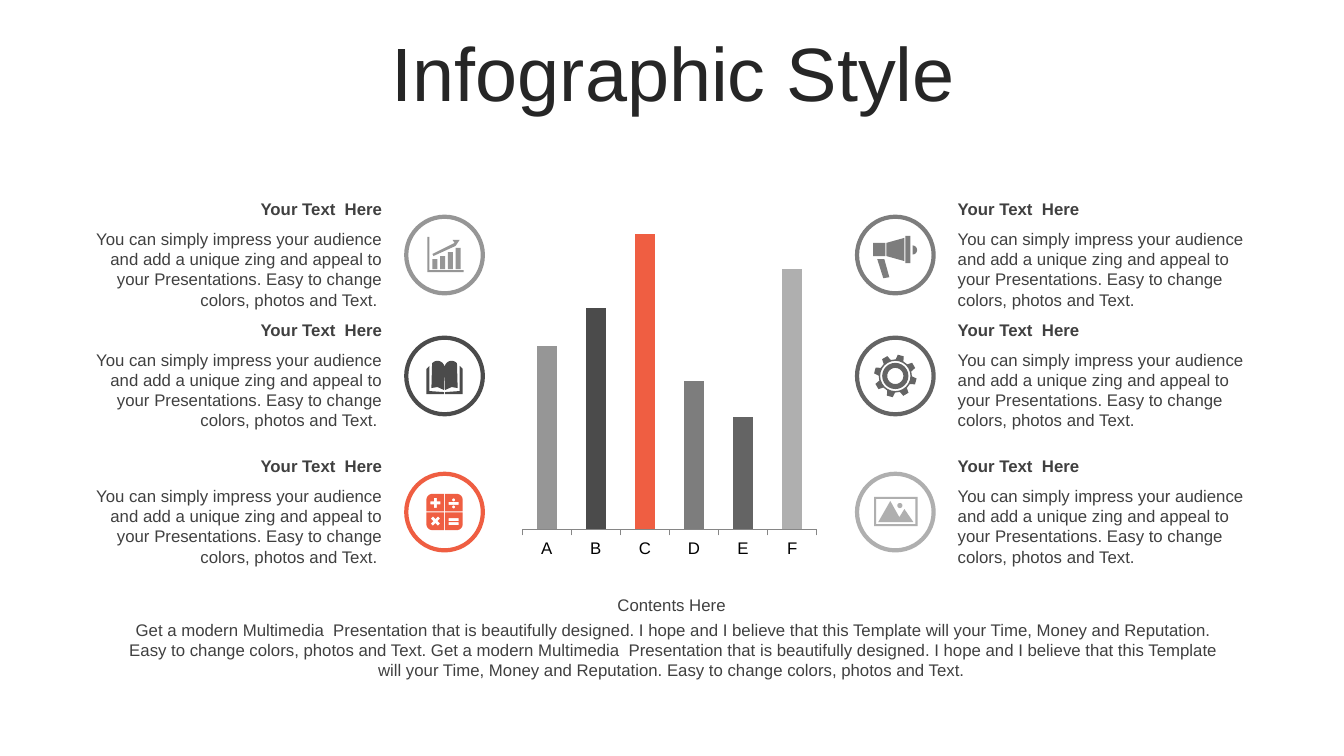
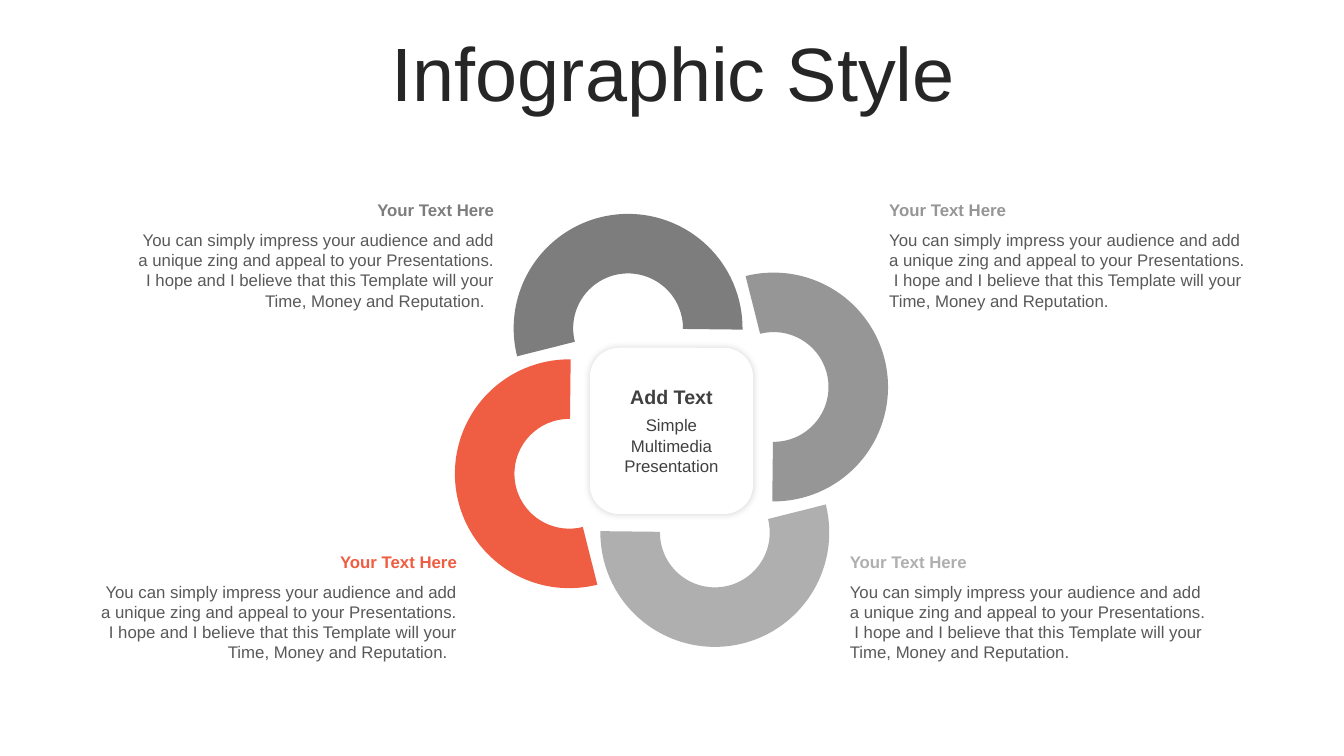
from math import cos, radians, sin

from lxml.etree import SubElement
from pptx import Presentation
from pptx.chart.data import CategoryChartData
from pptx.dml.color import RGBColor
from pptx.enum.chart import XL_CHART_TYPE, XL_TICK_LABEL_POSITION, XL_TICK_MARK
from pptx.enum.shapes import MSO_SHAPE
from pptx.enum.text import MSO_ANCHOR, MSO_AUTO_SIZE, PP_ALIGN
from pptx.oxml import parse_xml
from pptx.oxml.ns import nsdecls, qn
from pptx.util import Emu, Inches, Pt

FONT = "Arial"
COLORS = {
    "title": "262626", "text": "404040", "soft": "595959", "white": "FFFFFF",
    "black": "000000", "axis": "868686", "accent": "EF5E42", "gray1": "4B4B4B",
    "gray2": "646464", "gray3": "7D7D7D", "gray4": "969696", "gray5": "AFAFAF",
}
WIDTH, HEIGHT = Inches(13.33), Inches(7.5)
LEFT, CENTER, RIGHT = PP_ALIGN.LEFT, PP_ALIGN.CENTER, PP_ALIGN.RIGHT

HEADING = "Your Text  Here"
PITCH = ("You can simply impress your audience and add a unique zing and appeal "
         "to your Presentations. ")
CHART_PITCH = PITCH + "Easy to change colors, photos and Text."
LOOP_PITCH = PITCH + (" I hope and I believe that this Template will your Time, "
                      "Money and Reputation.")
SUMMARY = ("Get a modern Multimedia  Presentation that is beautifully designed. "
           "I hope and I believe that this Template will your Time, Money and "
           "Reputation. Easy to change colors, photos and Text. ")


def rgb(name):
    return RGBColor.from_string(COLORS[name])


def share(x, y, w, h):
    """Turn percentages of the slide's size into lengths."""
    return [Emu(round(v * side / 100))
            for v, side in zip((x, y, w, h), (WIDTH, HEIGHT) * 2)]


def set_all(target, **values):
    for key, value in values.items():
        setattr(target, key, value)


def set_font(font, color, size=12, bold=False):
    set_all(font, name=FONT, size=Pt(size), bold=bold)
    font.color.rgb = rgb(color)


def paint(sp, fill, line=None):
    sp.shadow.inherit = False
    sp.fill.solid()
    sp.fill.fore_color.rgb = rgb(fill)
    if line:
        sp.line.color.rgb = rgb(line)
        sp.line.width = Pt(3)
    else:
        sp.line.fill.background()


def add_text(slide, box, text, align, **style):
    tf = slide.shapes.add_textbox(*share(*box)).text_frame
    tf.word_wrap = True
    p = tf.paragraphs[0]
    p.alignment = align
    r = p.add_run()
    r.text = text
    set_font(r.font, **style)


def add_caption(slide, box, heading, body, align, head_style, body_color, gap=4):
    """Heading line with its body text a gap below."""
    x, y, w, h = box
    add_text(slide, (x, y, w, 4), heading, align, **head_style)
    add_text(slide, (x, y + gap, w, h - gap), body, align, color=body_color)


def add_titled_slide(prs, title):
    slide = prs.slides.add_slide(prs.slide_layouts[5])
    sp = slide.shapes.title
    sp.left, sp.top, sp.width, sp.height = share(2.63, 4.93, 94.97, 10.53)
    tf = sp.text_frame
    tf.text = title
    set_all(tf, vertical_anchor=MSO_ANCHOR.MIDDLE, word_wrap=True,
            auto_size=MSO_AUTO_SIZE.NONE)
    p = tf.paragraphs[0]
    set_all(p, alignment=CENTER, line_spacing=0.9, space_before=Pt(0))
    set_font(p.runs[0].font, "title", 54)
    return slide


# Icon outlines, in hundredths of an inch from the middle of the badge.

def rect(x, y, w, h):
    return [(x, y), (x + w, y), (x + w, y + h), (x, y + h)]


def arc(cx, cy, radius, start=0, end=360, steps=24):
    angles = [radians(start + (end - start) * i / steps) for i in range(steps + 1)]
    return [(cx + radius * cos(a), cy + radius * sin(a)) for a in angles]


def spin(points, angle):
    c, s = cos(radians(angle)), sin(radians(angle))
    return [(x * c - y * s, x * s + y * c) for x, y in points]


def around(points, count, start=0):
    """One outline made of the points repeated around the middle."""
    return [pt for k in range(count) for pt in spin(points, start + 360 * k / count)]


def shift(points, dx, dy):
    return [(x + dx, y + dy) for x, y in points]


def growth_icon():
    bars = [rect(-12 + 7.7 * i, 14 - h, 5, h) for i, h in enumerate((10, 13, 17, 21))]
    arrow = [(8, -15), (15, -15), (11, -9), (-11, 1), (-12, -1), (10, -12)]
    return bars + [arrow, rect(-17, -18, 2, 35), rect(-15, 15, 34, 2)]


def book_icon():
    page = arc(7, -8, 7, 180, 320) + [(13, 12), (7, 11), (0.5, 14)]
    cover = [(15, -10), (18, -7), (18, 18), (0.5, 18), (0.5, 16), (15, 15)]
    return [[(side * x, y) for x, y in half] for half in (page, cover) for side in (1, -1)]


def calculator_icon():
    tile = arc(12, 12, 6, 0, 90) + [(0.5, 18), (0.5, 0.5), (18, 0.5)]
    plus = around([(5, -1.5), (5, 1.5), (1.5, 1.5)], 4)
    signs = [shift(plus, -9, -9), shift(spin(plus, 45), -9, 9)]
    signs += [rect(4, y, 10, 3) for y in (-10, 6, 10)]
    signs += [arc(9, y, 1.5) for y in (-12, -5)]
    return [spin(tile, 90 * k) for k in range(4)] + signs


def megaphone_icon():
    handle = [(-18, 4), (-11, 4), (-6, 22), (-12, 23)]
    horn = [(9, -17), (9, 6), (-9, 1), (-9, -12)]
    return [handle, horn, rect(-22, -12, 12, 13), rect(10, -19, 5, 27),
            arc(17, -5, 4.5, -90, 90)]


def gear_icon():
    tooth = [(16, -4), (21, -3), (21, 3), (16, 4)]
    return [around(tooth, 8, 15)] + [arc(0, 0, radius) for radius in (15, 13, 8)]


def photo_icon():
    hills = [(-5, -11), (4, 5), (9, -3), (18, 10), (-17, 10)]
    return [rect(-21, -15, 43, 29), rect(-19, -13, 39, 25), arc(4.5, -6.5, 2.5), hills]


def add_badge(slide, x, y, icon, color):
    """Ringed circle with its icon."""
    left, top, size, _ = share(x, y, 5.7, 0)
    ring = slide.shapes.add_shape(MSO_SHAPE.OVAL, left, top, size, size)
    paint(ring, "white", color)
    first, *rest = [[(px * 100, py * 100) for px, py in points] for points in icon()]
    builder = slide.shapes.build_freeform(*first[0], scale=Inches(1) / 10000)
    builder.add_line_segments(first[1:], close=True)
    for points in rest:
        builder.move_to(*points[0])
        builder.add_line_segments(points[1:], close=True)
    paint(builder.convert_to_shape(left + size // 2, top + size // 2), color)


def add_column_chart(slide, box, columns):
    data = CategoryChartData()
    data.categories = [name for name, _, _ in columns]
    data.add_series("Series 1", [value for _, value, _ in columns])
    chart = slide.shapes.add_chart(XL_CHART_TYPE.COLUMN_STACKED, *share(*box), data).chart
    set_all(chart, has_legend=False, has_title=False)
    set_font(chart.font, "black", 18)
    plot = chart.plots[0]
    set_all(plot, gap_width=150, overlap=100, vary_by_categories=False)
    for i, (_, _, color) in enumerate(columns):
        fill = plot.series[0].points[i].format.fill
        fill.solid()
        fill.fore_color.rgb = rgb(color)
    set_all(chart.value_axis, minimum_scale=0, maximum_scale=112.5, visible=False,
            has_major_gridlines=False)
    axis = chart.category_axis
    set_all(axis, major_tick_mark=XL_TICK_MARK.OUTSIDE,
            tick_label_position=XL_TICK_LABEL_POSITION.LOW)
    axis.format.line.color.rgb = rgb("axis")
    set_font(axis.tick_labels.font, "black")
    area = plot._element.getparent()
    for old in area.findall(qn("c:layout")):
        area.remove(old)
    layout = parse_xml(f"<c:layout {nsdecls('c')}/>")
    manual = SubElement(layout, qn("c:manualLayout"))
    for tag, value in {"layoutTarget": "inner", "xMode": "edge", "yMode": "edge",
                       "x": 0.06, "y": 0.03, "w": 0.88, "h": 0.89}.items():
        SubElement(manual, qn(f"c:{tag}")).set("val", str(value))
    area.insert(0, layout)


def add_badge_column(slide, badge_x, text_x, text_w, align, badges):
    """Three captions, each beside its badge."""
    body = CHART_PITCH + (" " if align == RIGHT else "")
    for y, (icon, color) in zip((28.67, 44.67, 62.67), badges):
        add_badge(slide, badge_x, y, icon, color)
        add_caption(slide, (text_x, y - 3.07, text_w, 16.13), HEADING, body, align,
                    {"color": "text", "bold": True}, "text")


def chart_slide(prs):
    slide = add_titled_slide(prs, "Infographic Style")
    add_column_chart(slide, (37.36, 24.53, 24.91, 49.47), [
        ("A", 62, "gray4"), ("B", 75, "gray1"), ("C", 100, "accent"),
        ("D", 50, "gray3"), ("E", 38, "gray2"), ("F", 88, "gray5")])
    add_caption(slide, (8.7, 78, 82.9, 12.8), "Contents Here ", SUMMARY * 2, CENTER,
                {"color": "text"}, "text", gap=3.33)
    add_badge_column(slide, 30.23, 6.15, 23.03, RIGHT, [
        (growth_icon, "gray4"), (book_icon, "gray1"), (calculator_icon, "accent")])
    add_badge_column(slide, 63.77, 70.52, 23.63, LEFT, [
        (megaphone_icon, "gray3"), (gear_icon, "gray2"), (photo_icon, "gray5")])


def add_hub(slide, box):
    """Rounded centre card with a soft shadow."""
    sp = slide.shapes.add_shape(MSO_SHAPE.ROUNDED_RECTANGLE, *share(*box))
    sp.adjustments[0] = 0.18
    paint(sp, "white")
    effects = sp._element.spPr.find(qn("a:effectLst"))
    shadow = SubElement(effects, qn("a:outerShdw"), blurRad=str(Pt(5)), dist="0",
                        algn="ctr", rotWithShape="0")
    color = SubElement(shadow, qn("a:srgbClr"), val=COLORS["black"])
    SubElement(color, qn("a:alpha"), val="14000")
    x, y, w, h = box
    add_caption(slide, (x + 1.68, y + 4.27, w - 3.37, h - 8.53), "Add Text",
                "Simple Multimedia Presentation ", CENTER,
                {"color": "text", "size": 14, "bold": True}, "text")


def add_loop(slide, x, y, orbit, size, colors):
    """Arcs set a quarter turn apart around a centre."""
    cx, cy, _, _ = share(x, y, 0, 0)
    for k, color in enumerate(colors):
        turn = 90 * k - 23
        (dx, dy), = spin([(orbit, 0)], turn)
        left, top = (Emu(round(c + d - size / 2)) for c, d in ((cx, dx), (cy, dy)))
        sp = slide.shapes.add_shape(MSO_SHAPE.BLOCK_ARC, left, top, size, size)
        for i, value in enumerate((113.3, 14.19, 0.26)):
            sp.adjustments[i] = value
        sp.rotation = turn + 90
        paint(sp, color)


def loop_slide(prs):
    slide = add_titled_slide(prs, "Infographic Style")
    add_hub(slide, (43.89, 46, 12.15, 22))
    top, bottom = 25.73, 72.27
    for x, y, align, color in (
            (65.42, top, LEFT, "gray4"), (62.49, bottom, LEFT, "gray5"),
            (9.45, top, RIGHT, "gray3"), (6.68, bottom, RIGHT, "accent")):
        body = LOOP_PITCH + ("  " if align == RIGHT else "")
        add_caption(slide, (x, y, 28.06, 16.13), "Your Text Here", body, align,
                    {"color": color, "bold": True}, "soft")
    add_loop(slide, 49.96, 56.93, Inches(1.1), Inches(2.27),
             ("gray4", "gray5", "accent", "gray3"))


def main():
    prs = Presentation()
    prs.slide_width, prs.slide_height = WIDTH, HEIGHT
    chart_slide(prs)
    loop_slide(prs)
    prs.save("out.pptx")


if __name__ == "__main__":
    main()
